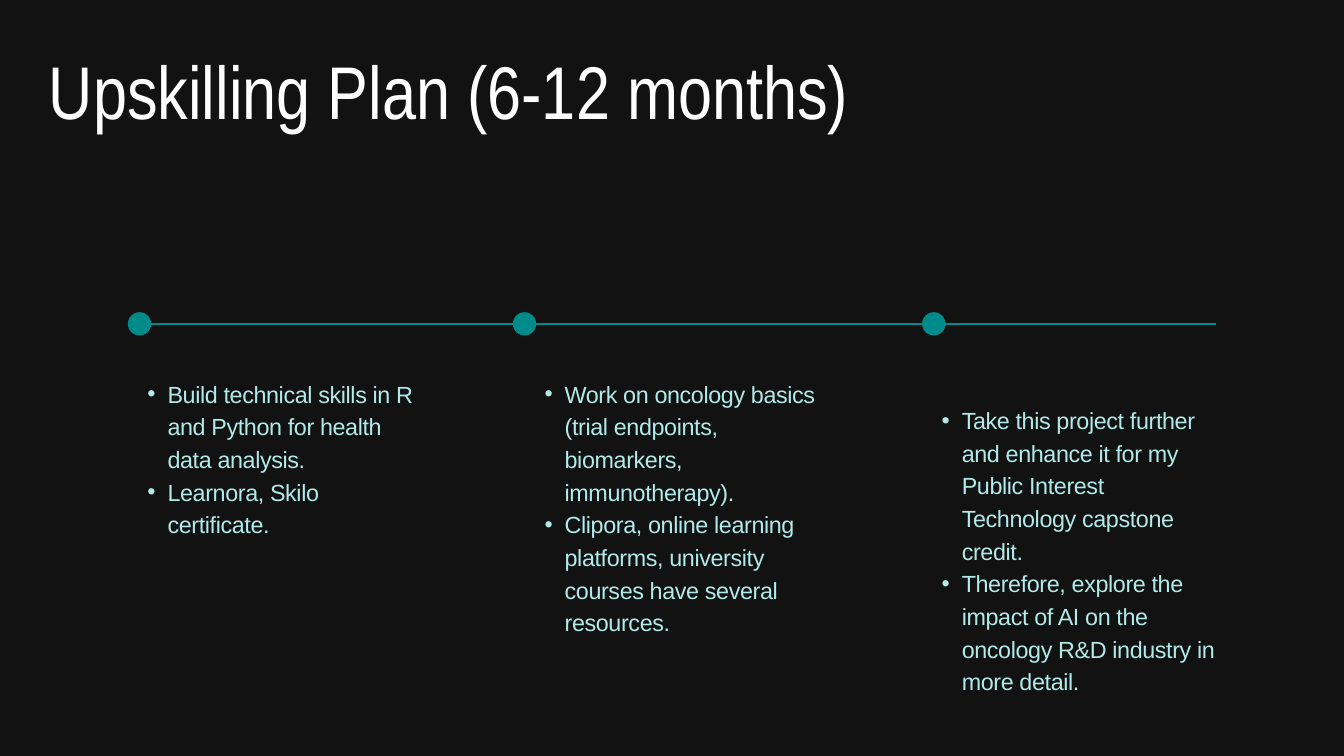
from lxml.etree import SubElement
from pptx import Presentation
from pptx.dml.color import RGBColor
from pptx.enum.shapes import MSO_CONNECTOR, MSO_SHAPE
from pptx.enum.text import MSO_ANCHOR, MSO_AUTO_SIZE, PP_ALIGN
from pptx.oxml.ns import qn
from pptx.util import Pt

COLORS = {"background": "121212", "title": "FFFFFF", "body": "B2EAEA", "accent": "008B8B"}

# Each step: dot left, list top, list height, list items
STEPS = [
    (137, 402, 205, ["Build technical skills in R and Python for health data analysis.",
                     "Learnora, Skilo certificate."]),
    (549.5, 402, 308, ["Work on oncology basics (trial endpoints, biomarkers, immunotherapy).",
                       "Clipora, online learning platforms, university courses have several resources."]),
    (988, 430, 308, ["Take this project further and enhance it for my Public Interest "
                     "Technology capstone credit.",
                     "Therefore, explore the impact of AI on the oncology R&D industry in more detail."]),
]
LIST_LEFT, LIST_STEP, LIST_WIDTH = 137, 425.5, 315.5
DOT_SIZE = 25


def color(name):
    return RGBColor.from_string(COLORS[name])


def place_text(holder, left, top, width, height):
    """Move a placeholder to its box and return its plain, top-anchored frame."""
    holder.left, holder.top, holder.width, holder.height = map(Pt, (left, top, width, height))
    frame = holder.text_frame
    frame.margin_left = frame.margin_top = frame.margin_right = frame.margin_bottom = 0
    frame.vertical_anchor = MSO_ANCHOR.TOP
    frame.word_wrap = True
    frame.auto_size = MSO_AUTO_SIZE.NONE
    return frame


def format_paragraph(paragraph, font_name, size, line_spacing, color_name):
    paragraph.alignment = PP_ALIGN.LEFT
    paragraph.line_spacing = Pt(line_spacing)
    paragraph.space_before = Pt(0)
    for run in paragraph.runs:
        run.font.name = font_name
        run.font.size = Pt(size)
        run.font.bold = False
        run.font.color.rgb = color(color_name)


def add_bullet(paragraph, left, hanging):
    properties = paragraph._p.get_or_add_pPr()
    properties.set("marL", str(Pt(left)))
    properties.set("indent", str(-Pt(hanging)))
    SubElement(properties, qn("a:buFont")).set("typeface", "Arial")
    SubElement(properties, qn("a:buChar")).set("char", "•")


def fill_title(holder, left, top, width, height):
    frame = place_text(holder, left, top, width, height)
    frame.text = "Upskilling Plan (6-12 months)"
    format_paragraph(frame.paragraphs[0], "Arial Narrow", 80, 80, "title")


def fill_list(holder, items, left, top, width, height):
    frame = place_text(holder, left, top, width, height)
    frame.text = "\n".join(items)
    for paragraph in frame.paragraphs:
        paragraph.level = 1
        add_bullet(paragraph, 42.5, 21.5)
        format_paragraph(paragraph, "Arial", 25, 35, "body")
        for run in paragraph.runs:
            run.font._element.set("spc", "-40")


def add_timeline(slide, dot_lefts, right, middle):
    # Axis starts at the right edge of the first dot
    axis = slide.shapes.add_connector(
        MSO_CONNECTOR.STRAIGHT, Pt(dot_lefts[0] + DOT_SIZE), Pt(middle), Pt(right), Pt(middle))
    axis.line.color.rgb = color("accent")
    axis.line.width = Pt(1.5)
    SubElement(axis._element.spPr, qn("a:effectLst"))

    for left in dot_lefts:
        dot = slide.shapes.add_shape(
            MSO_SHAPE.OVAL, Pt(left), Pt(middle - DOT_SIZE / 2), Pt(DOT_SIZE), Pt(DOT_SIZE))
        dot.shadow.inherit = False
        dot.fill.solid()
        dot.fill.fore_color.rgb = color("accent")
        dot.line.fill.background()


def main():
    presentation = Presentation()
    presentation.slide_width, presentation.slide_height = Pt(1440), Pt(810)

    # The comparison layout offers a title and four text placeholders
    slide = presentation.slides.add_slide(presentation.slide_layouts[4])
    slide.background.fill.solid()
    slide.background.fill.fore_color.rgb = color("background")
    title, *bodies = slide.placeholders

    fill_title(title, 52.5, 64, 1335, 84)
    for index, (_, top, height, items) in enumerate(STEPS):
        fill_list(bodies[index], items, LIST_LEFT + index * LIST_STEP, top, LIST_WIDTH, height)
    for unused in bodies[len(STEPS):]:
        unused._element.getparent().remove(unused._element)

    add_timeline(slide, [step[0] for step in STEPS], 1303, 347)
    presentation.save("out.pptx")


if __name__ == "__main__":
    main()
